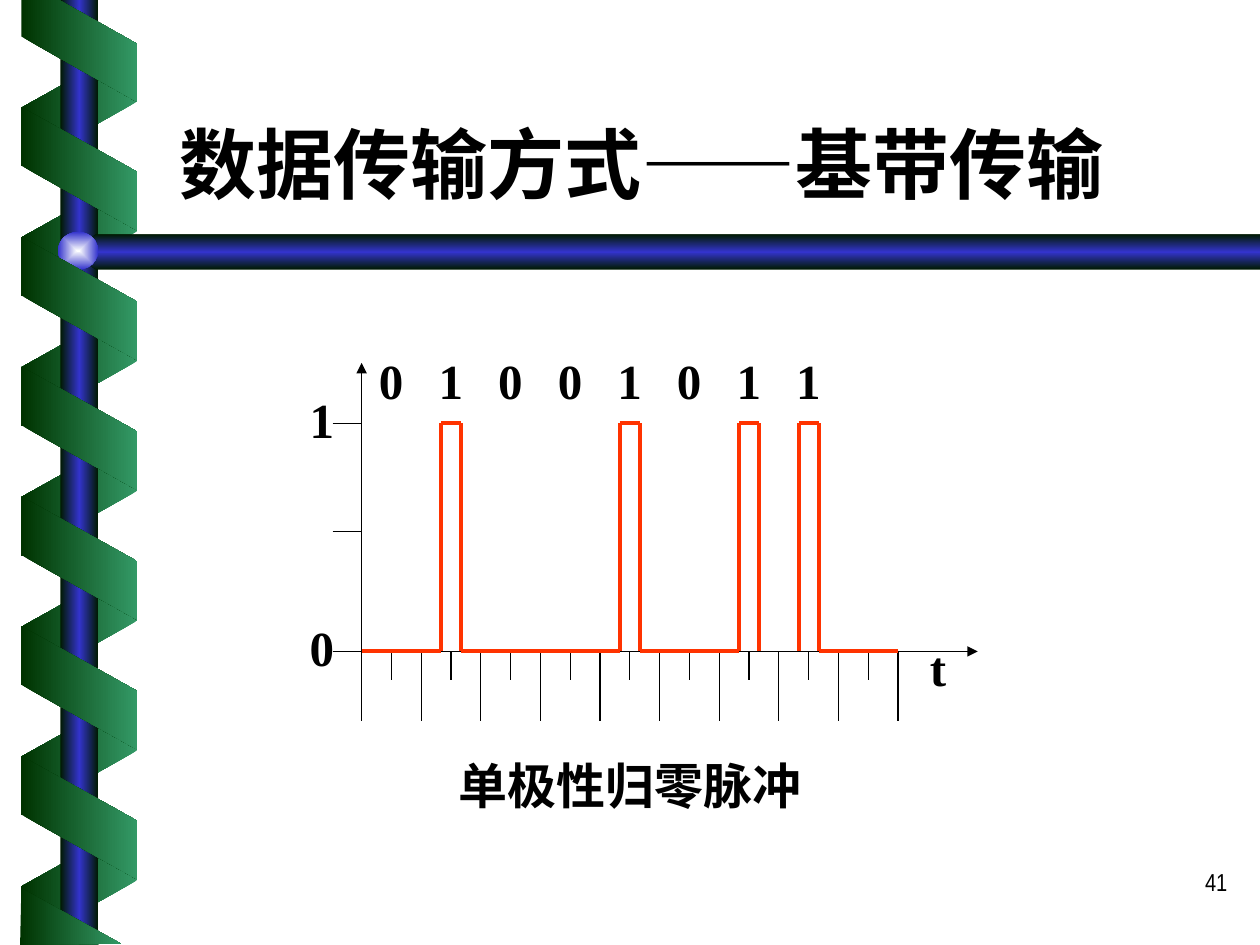
from lxml.etree import SubElement
from pptx import Presentation
from pptx.dml.color import RGBColor
from pptx.enum.shapes import MSO_CONNECTOR, MSO_SHAPE
from pptx.enum.text import MSO_ANCHOR, PP_ALIGN
from pptx.oxml import parse_xml
from pptx.oxml.ns import nsdecls, qn
from pptx.util import Inches, Pt

BLACK = RGBColor(0x00, 0x00, 0x00)
RED = RGBColor(0xFF, 0x33, 0x00)
GREEN = RGBColor(0x33, 0x99, 0x66)
FOREST = RGBColor(0x00, 0x33, 0x00)
DARK = RGBColor(0x00, 0x1A, 0x00)
BLUE = RGBColor(0x33, 0x33, 0xCC)
WHITE = RGBColor(0xFE, 0xFF, 0xFF)

SANS = "Arial Narrow"
SERIF = "Times New Roman"
BITS = "01001011"
LEFT, SLOT, PULSE = 2.87, 0.473, 0.16
HIGH, LOW = 3.36, 5.17

ACROSS = '<a:lin ang="0" scaled="1"/>'
DOWN = '<a:lin ang="5400000" scaled="1"/>'
CENTRE = ('<a:path path="rect"><a:fillToRect l="50000" t="50000" '
          'r="50000" b="50000"/></a:path>')


def shade(shape, colors, way=ACROSS):
    shape.shadow.inherit = False
    shape.line.fill.background()
    shape.fill.solid()
    last = len(colors) - 1
    stops = "".join(
        f'<a:gs pos="{100000 * i // last}"><a:srgbClr val="{color}"/></a:gs>'
        for i, color in enumerate(colors))
    props = shape.fill._xPr
    props.replace(props.find(qn("a:solidFill")), parse_xml(
        f'<a:gradFill {nsdecls("a")} rotWithShape="0">'
        f'<a:gsLst>{stops}</a:gsLst>{way}</a:gradFill>'))


def add_preset(slide, kind, *box):
    return slide.shapes.add_shape(kind, *map(Inches, box))


def add_ribbon(slide, top, front):
    shape = add_preset(slide, MSO_SHAPE.PARALLELOGRAM, 0.14, top, 0.98, 0.92)
    shape.adjustments[0] = 0.56
    if front:
        shape.rotation = 270
        shade(shape, [FOREST, GREEN])
    else:
        shape.rotation = 90
        shape._element.spPr.find(qn("a:xfrm")).set("flipH", "1")
        shade(shape, [GREEN, FOREST])


def add_outline(slide, points, colors, way=ACROSS):
    start, *rest = [(Inches(x), Inches(y)) for x, y in points]
    builder = slide.shapes.build_freeform(*start)
    builder.add_line_segments(rest, close=True)
    shade(builder.convert_to_shape(), colors, way)


def add_line(slide, x1, y1, x2, y2, color=BLACK, width=0.75, arrow=False):
    line = slide.shapes.add_connector(
        MSO_CONNECTOR.STRAIGHT, *map(Inches, (x1, y1, x2, y2)))
    line.line.color.rgb = color
    line.line.width = Pt(width)
    if arrow:
        SubElement(line.line._get_or_add_ln(), qn("a:tailEnd"), type="triangle")
    SubElement(line._element.spPr, qn("a:effectLst"))


def add_text(slide, text, box, size=28, font=SERIF, bold=True,
             align=PP_ALIGN.CENTER, anchor=MSO_ANCHOR.BOTTOM):
    frame = slide.shapes.add_textbox(*map(Inches, box)).text_frame
    frame.word_wrap = True
    frame.vertical_anchor = anchor
    frame.text = text
    para = frame.paragraphs[0]
    para.alignment = align
    style = para.runs[0].font
    style.size = Pt(size)
    style.name = font
    style.bold = bold
    style.color.rgb = BLACK


def add_spiral(slide):
    for i in range(7):
        add_ribbon(slide, 0.37 + 1.03 * i, False)
    pole = add_preset(slide, MSO_SHAPE.RECTANGLE, 0.48, 0, 0.3, 7.5)
    shade(pole, [DARK, BLUE, DARK])
    add_outline(slide, [(10, 1.86), (0.76, 1.86), (0.6, 2), (0.76, 2.14),
                        (10, 2.14)], [DARK, BLUE, DARK], DOWN)
    ball = add_preset(slide, MSO_SHAPE.OVAL, 0.46, 1.84, 0.32, 0.3)
    shade(ball, [WHITE, BLUE], CENTRE)
    for i in range(6):
        add_ribbon(slide, 0.88 + 1.03 * i, True)
    add_outline(slide, [(0.17, 0), (0.17, 0.29), (1.09, 0.81), (1.09, 0.35),
                        (0.47, 0)], [FOREST, GREEN])
    add_outline(slide, [(0.96, 7.49), (0.17, 7.05), (0.16, 7.5)],
                [FOREST, GREEN])


def add_axes(slide):
    add_line(slide, LEFT, 5.72, LEFT, 2.88, arrow=True)
    add_line(slide, 2.64, LOW, 7.76, LOW, arrow=True)
    for i in range(1, 19):
        x = LEFT + SLOT * i / 2
        add_line(slide, x, LOW, x, 5.4 if i % 2 else 5.72)
    for y in (4.22, HIGH):
        add_line(slide, 2.64, y, LEFT, y)


def add_label(slide, text, x, y):
    add_text(slide, text, (x, y, 0.47, 0.57))


def add_wave(slide):
    starts = [LEFT + SLOT * (i + 1 / 3)
              for i, bit in enumerate(BITS) if bit == "1"]
    for x in starts:
        end = x + PULSE
        for line in ((x, LOW, x, HIGH), (x, HIGH, end, HIGH),
                     (end, LOW, end, HIGH)):
            add_line(slide, *line, RED, 2.25)
    ends = [LEFT] + [x + PULSE for x in starts]
    for x1, x2 in zip(ends, starts + [LEFT + 9 * SLOT]):
        if x2 - x1 > SLOT:
            add_line(slide, x1, LOW, x2, LOW, RED, 2.25)


def main():
    deck = Presentation()
    deck.slide_width, deck.slide_height = Inches(10), Inches(7.5)
    slide = deck.slides.add_slide(deck.slide_layouts[6])
    add_spiral(slide)
    add_text(slide, "41", (7.76, 6.83, 2.08, 0.5), 14, SANS, False,
             PP_ALIGN.RIGHT, MSO_ANCHOR.TOP)
    add_text(slide, "数据传输方式——基带传输", (1.33, 0.46, 8.5, 1.25), 44, SANS,
             align=PP_ALIGN.LEFT)
    add_axes(slide)
    add_wave(slide)
    for i, bit in enumerate(BITS):
        add_label(slide, bit, LEFT + SLOT * i, 2.73)
    for text, x, y in (("0", 2.32, 4.85), ("1", 2.32, 3.04), ("t", 7.21, 5.01)):
        add_label(slide, text, x, y)
    add_text(slide, "单极性归零脉冲", (3.03, 5.95, 3.94, 0.57),
             anchor=MSO_ANCHOR.TOP)
    deck.save("out.pptx")


if __name__ == "__main__":
    main()
